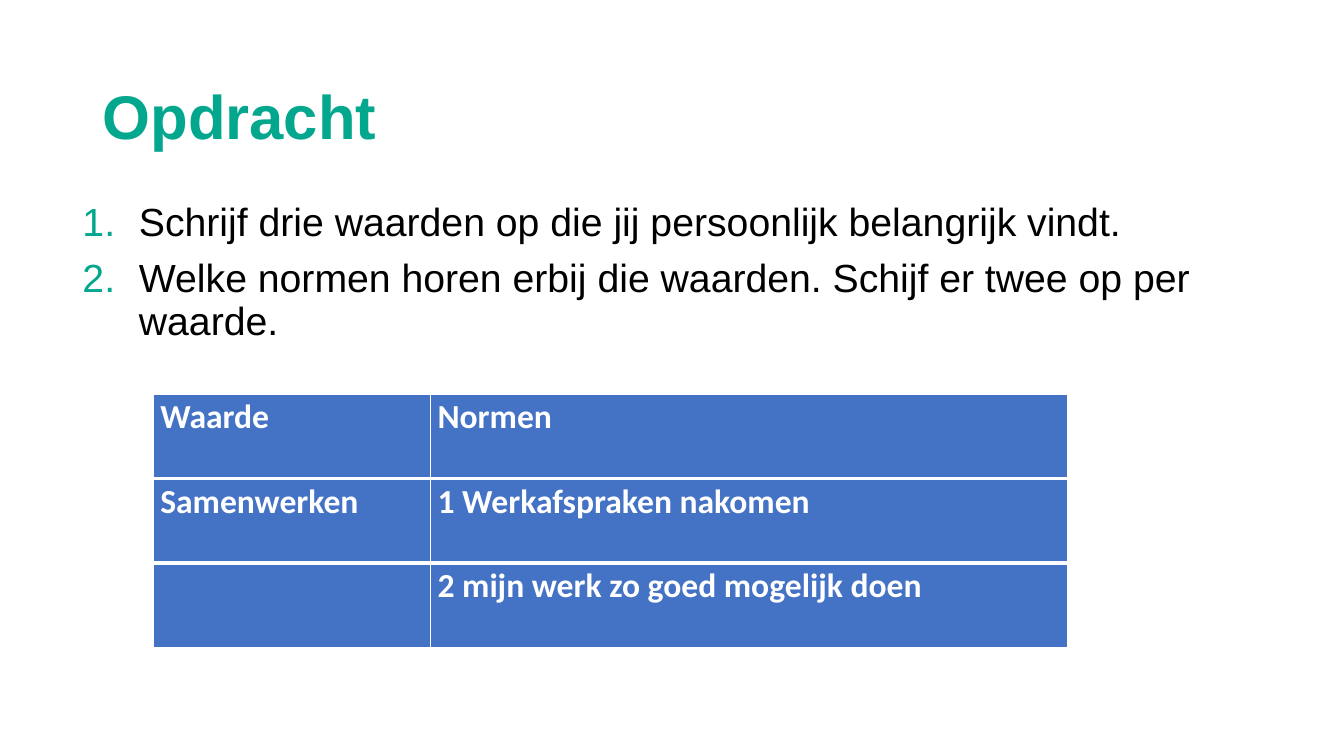
from lxml import etree
from pptx import Presentation, util as u
from pptx.dml.color import RGBColor
from pptx.enum import text
from pptx.oxml import ns

COLORS = {"accent": "03A78D", "body": "000000", "cell": "4472C4", "light": "FFFFFF"}

ASSIGNMENTS = [
    "Schrijf drie waarden op die jij persoonlijk belangrijk vindt.",
    "Welke normen horen erbij die waarden. Schijf er twee op per waarde.",
]
VALUES_AND_NORMS = [
    ("Waarde", "Normen"),
    ("Samenwerken", "1 Werkafspraken nakomen"),
    ("", "2 mijn werk zo goed mogelijk doen"),
]


def add_run(paragraph, words, size, font, color, bold=False):
    run = paragraph.add_run()
    run.text = words
    run.font.size = u.Pt(size)
    run.font.name = font
    run.font.bold = bold
    run.font.color.rgb = RGBColor.from_string(COLORS[color])


def add_text_frame(slide, box, anchor):
    frame = slide.shapes.add_textbox(*map(u.Inches, box)).text_frame
    frame.word_wrap = True
    frame.vertical_anchor = anchor
    return frame


def add_child(parent, tag, **attributes):
    return etree.SubElement(parent, ns.qn(tag), attributes)


def number_paragraph(paragraph, indent):
    """Give the paragraph a hanging, coloured automatic number."""
    properties = paragraph._p.get_or_add_pPr()
    properties.set("marL", str(u.Inches(indent)))
    properties.set("indent", str(-u.Inches(indent)))
    bullet_color = add_child(properties, "a:buClr")
    add_child(bullet_color, "a:srgbClr", val=COLORS["accent"])
    add_child(properties, "a:buFont", typeface="+mj-lt")
    add_child(properties, "a:buAutoNum", type="arabicPeriod")


def set_borders(cell, **widths):
    """Draw light cell borders; widths in points, keyed by side L, R, T, B."""
    properties = cell._tc.get_or_add_tcPr()
    for position, (side, width) in enumerate(widths.items()):
        line = etree.Element(ns.qn(f"a:ln{side}"), {"w": str(u.Pt(width))})
        fill = add_child(line, "a:solidFill")
        add_child(fill, "a:srgbClr", val=COLORS["light"])
        properties.insert(position, line)


def add_title(slide, box):
    frame = add_text_frame(slide, box, text.MSO_ANCHOR.MIDDLE)
    heading = frame.paragraphs[0]
    heading.line_spacing = 0.9
    add_run(heading, "Opdracht", 44, "Arial", "accent", bold=True)


def add_assignments(slide, box):
    frame = add_text_frame(slide, box, text.MSO_ANCHOR.TOP)
    for index, assignment in enumerate(ASSIGNMENTS):
        paragraph = frame.add_paragraph() if index else frame.paragraphs[0]
        paragraph.line_spacing = 0.9
        paragraph.space_before = u.Pt(10)
        number_paragraph(paragraph, 0.56)
        add_run(paragraph, assignment, 28, "Arial", "body")


def fill_cell(cell, words):
    cell.fill.solid()
    cell.fill.fore_color.rgb = RGBColor.from_string(COLORS["cell"])
    cell.margin_left = cell.margin_right = u.Inches(0.07)
    cell.margin_top = cell.margin_bottom = 0
    paragraph = cell.text_frame.paragraphs[0]
    paragraph.line_spacing = 1.07
    paragraph.space_after = u.Pt(8)
    if words:
        add_run(paragraph, words, 24, "Calibri", "light", bold=True)


def add_values_table(slide, box, first_column):
    rows = len(VALUES_AND_NORMS)
    table = slide.shapes.add_table(rows, 2, *map(u.Inches, box)).table
    table.columns[0].width = u.Inches(first_column)
    table.columns[1].width = u.Inches(box[2] - first_column)
    for row, entries in enumerate(VALUES_AND_NORMS):
        for column, words in enumerate(entries):
            cell = table.cell(row, column)
            fill_cell(cell, words)
            set_borders(cell, L=1, R=1, T=3 if row else 1,
                        B=3 if row < rows - 1 else 1)


def main():
    deck = Presentation()
    deck.slide_width, deck.slide_height = u.Inches(13.33), u.Inches(7.5)
    slide = deck.slides.add_slide(deck.slide_layouts[6])
    add_title(slide, (0.92, 0.79, 11.5, 0.79))
    add_assignments(slide, (0.72, 1.96, 11.5, 5.54))
    add_values_table(slide, (1.52, 3.91, 9.07, 2.51), first_column=2.75)
    deck.save("out.pptx")


if __name__ == "__main__":
    main()
